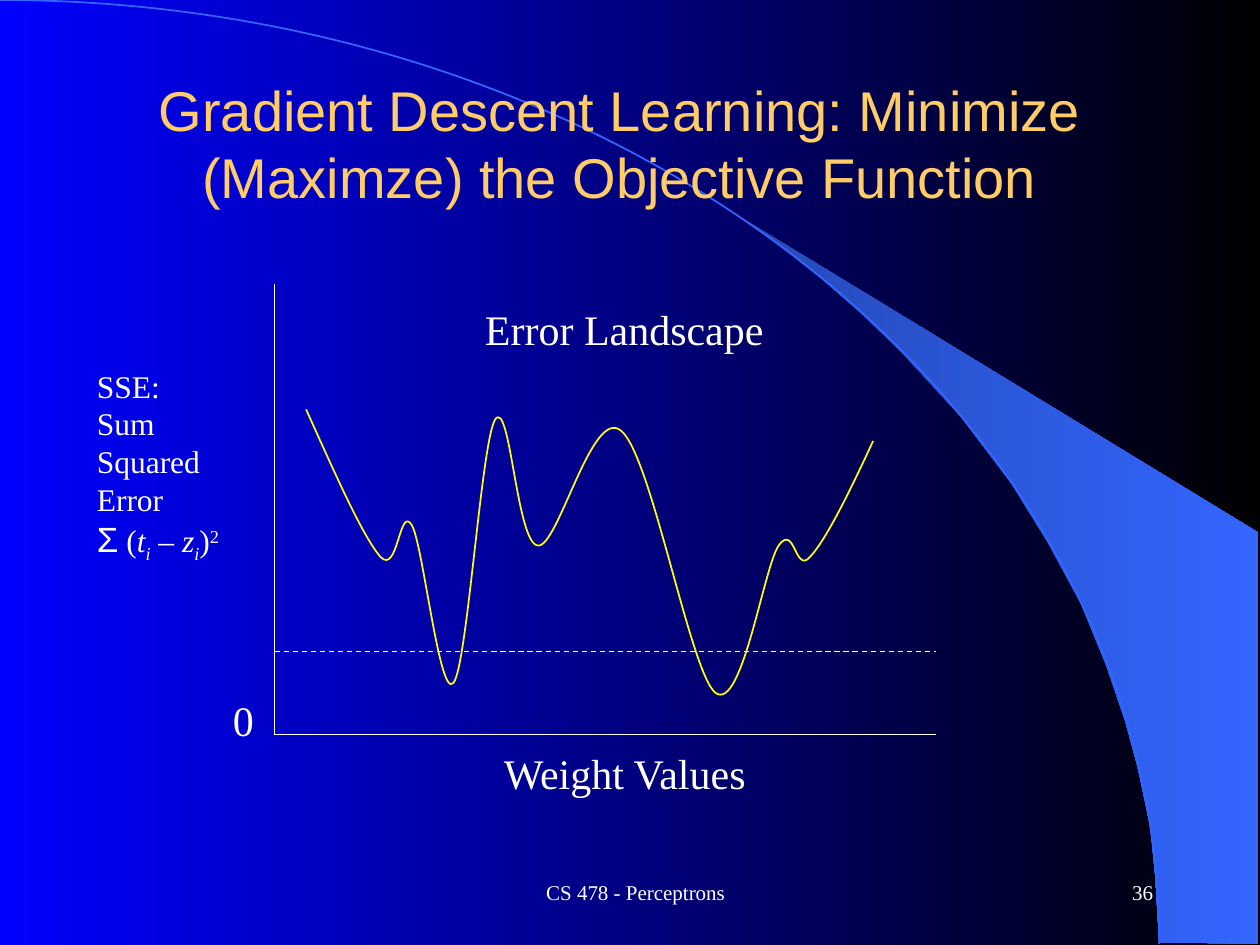
import pptx
import pptx.dml.color
import pptx.enum.dml
import pptx.enum.shapes
import pptx.enum.text
import pptx.oxml
import pptx.oxml.ns
import pptx.oxml.xmlchemy
import pptx.util

HUES = {"blue": "0000FF", "black": "000000", "deep": "2449B6", "sky": "3366FF",
        "gold": "FFCC66", "white": "FFFFFF", "yellow": "FFFF00"}
SERIF, SANS = "Times New Roman", "Arial"

# Content: all places are in inches
WING = [(9.2, 7.48), (9.99, 7.49), (9.99, 4.23), (5.89, 1.73), (6.24, 1.99),
        (6.53, 2.22), (6.85, 2.5), (7.16, 2.8), (7.62, 3.3), (8.03, 3.84),
        (8.32, 4.31), (8.58, 4.79), (8.78, 5.28), (8.93, 5.72), (9.03, 6.09),
        (9.13, 6.56), (9.17, 6.96), (9.2, 7.48)]

# Curves: a start, then two handles and an end for each piece
ARC = [(0, 0), (5.08, 0), (9.2, 3.35), (9.2, 7.49)]
ERROR = [(2.43, 3.25),
         (2.66, 3.76), (2.88, 4.26), (3.02, 4.42),
         (3.16, 4.57), (3.17, 4), (3.27, 4.17),
         (3.36, 4.33), (3.49, 5.56), (3.6, 5.42),
         (3.71, 5.28), (3.82, 3.51), (3.93, 3.33),
         (4.05, 3.15), (4.1, 4.32), (4.27, 4.33),
         (4.43, 4.35), (4.7, 3.22), (4.93, 3.42),
         (5.17, 3.61), (5.48, 5.35), (5.68, 5.5),
         (5.89, 5.65), (6.06, 4.51), (6.18, 4.33),
         (6.31, 4.15), (6.31, 4.56), (6.43, 4.42),
         (6.56, 4.28), (6.75, 3.89), (6.93, 3.5)]

LEFT, RIGHT, TOP, BASE, LEVEL = 2.18, 7.43, 2.25, 5.83, 5.17
LINES = [((LEFT, TOP), (LEFT, BASE), False),
         ((LEFT, BASE), (RIGHT, BASE), False),
         ((LEFT, LEVEL), (RIGHT, LEVEL), True)]

# Text, box, size, font, colour, alignment, middle anchor, wrap
TEXTS = [
    ("CS 478 - Perceptrons", (3.17, 6.83, 3.75, 0.5), 12, SERIF, "white", "CENTER", True, True),
    ("36", (7.17, 6.83, 2.08, 0.5), 12, SERIF, "white", "RIGHT", True, True),
    ("Gradient Descent Learning: Minimize (Maximze) the Objective Function",
     (0.67, 0.67, 8.5, 0.92), 32, SANS, "gold", "CENTER", True, True),
    ("0", (1.75, 5.46, 0.37, 0.5), 24, SERIF, "white", "LEFT", False, False),
    ("Error Landscape", (3.75, 2.36, 2.41, 0.5), 24, SERIF, "white", "LEFT", False, False),
    ("Weight Values", (3.9, 5.88, 2.19, 0.5), 24, SERIF, "white", "LEFT", False, False),
]

# Formula note: text, size, font, italic, baseline shift in percent
NOTE_BOX = (0.67, 2.86, 1.52, 1.65)
NOTE = [[(words, 18, SERIF, False, 0)] for words in ("SSE:", "Sum Squared", "Error")]
NOTE.append([
    ("Σ", 20, SANS, False, 0), (" (", 18, SERIF, False, 0),
    ("t", 18, SERIF, True, 0), ("i", 18, SERIF, True, -25),
    (" – z", 18, SERIF, True, 0), ("i", 18, SERIF, True, -25),
    (")", 18, SERIF, False, 0), ("2", 18, SERIF, False, 30),
])


def size(inch):
    return pptx.util.Cm(inch * 2.54)


def tint(name):
    return pptx.dml.color.RGBColor.from_string(HUES[name])


def tag(name):
    return pptx.oxml.xmlchemy.OxmlElement(name)


def blend(fill, *names):
    fill.gradient()
    fill.gradient_angle = 0
    for stop, name, place in zip(fill.gradient_stops, names, (0, 1)):
        stop.color.rgb = tint(name)
        stop.position = place


def trace(slide, dots, close):
    dots = [(size(x), size(y)) for x, y in dots]
    maker = slide.shapes.build_freeform(*dots[0])
    maker.add_line_segments(dots[1:], close=close)
    shape = maker.convert_to_shape()
    shape.shadow.inherit = False
    return shape


def curve(slide, dots, hue):
    shape = trace(slide, dots, False)
    shape.fill.background()
    shape.line.color.rgb = tint(hue)
    shape.line.width = pptx.util.Pt(1)
    # Every three straight steps become one cubic piece
    steps = list(shape.element.iter(pptx.oxml.ns.qn("a:lnTo")))
    for n in range(0, len(steps), 3):
        cubic = tag("a:cubicBezTo")
        steps[n].addprevious(cubic)
        for step in steps[n:n + 3]:
            cubic.append(step[0])
            step.getparent().remove(step)


def rule(slide, start, end, dash):
    kind = pptx.enum.shapes.MSO_CONNECTOR.STRAIGHT
    line = slide.shapes.add_connector(kind, *map(size, start + end))
    line.line.color.rgb = tint("white")
    line.line.width = pptx.util.Pt(0.75)
    if dash:
        line.line.dash_style = pptx.enum.dml.MSO_LINE.DASH
    line.element.spPr.append(tag("a:effectLst"))


def write(slide, paras, box, hue, align="LEFT", middle=False, wrap=True):
    frame = slide.shapes.add_textbox(*map(size, box)).text_frame
    frame.word_wrap = wrap
    anchor = pptx.enum.text.MSO_ANCHOR
    frame.vertical_anchor = anchor.MIDDLE if middle else anchor.TOP
    for n, runs in enumerate(paras):
        para = frame.add_paragraph() if n else frame.paragraphs[0]
        para.alignment = pptx.enum.text.PP_ALIGN[align]
        for words, points, face, slant, shift in runs:
            run = para.add_run()
            run.text = words
            font = run.font
            font.size, font.name = pptx.util.Pt(points), face
            font.italic = slant
            font.color.rgb = tint(hue)
            if shift:
                run._r.get_or_add_rPr().set("baseline", str(shift * 1000))


def main():
    deck = pptx.Presentation()
    deck.slide_width, deck.slide_height = size(10), size(7.5)
    slide = deck.slides.add_slide(deck.slide_layouts[6])

    # Backdrop
    blend(slide.background.fill, "blue", "black")
    wing = trace(slide, WING, True)
    blend(wing.fill, "deep", "sky")
    wing.line.fill.background()
    curve(slide, ARC, "sky")

    # Error plot
    for line in LINES:
        rule(slide, *line)
    curve(slide, ERROR, "yellow")

    # Texts
    for words, box, points, face, *look in TEXTS:
        write(slide, [[(words, points, face, False, 0)]], box, *look)
    write(slide, NOTE, NOTE_BOX, "white")

    deck.save("out.pptx")


if __name__ == "__main__":
    main()
